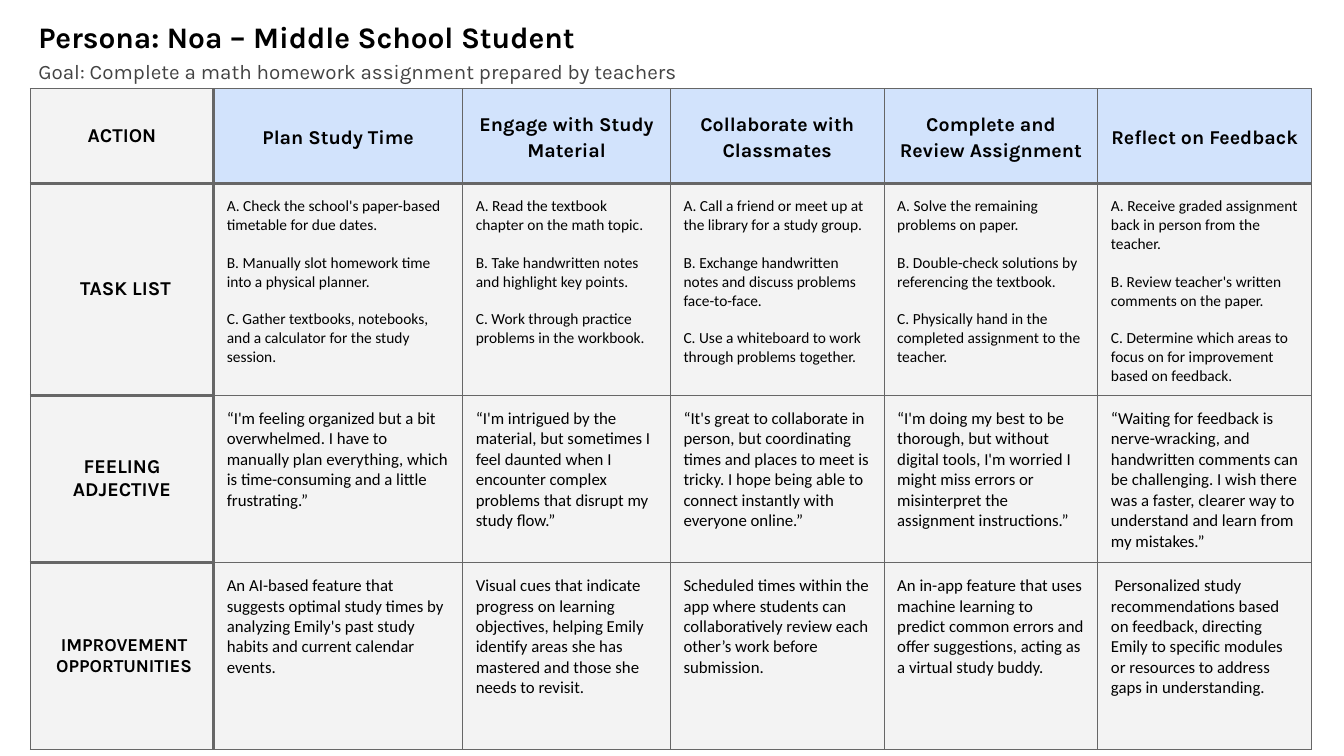
from lxml import etree
from pptx import Presentation
from pptx.dml.color import RGBColor
from pptx.enum import text
from pptx.oxml.ns import qn
from pptx.util import Emu, Inches, Pt

BLACK = RGBColor(0x00, 0x00, 0x00)
GRAY = RGBColor(0x43, 0x43, 0x43)
LINE = RGBColor(0x66, 0x66, 0x66)
PALE = RGBColor(0xF3, 0xF3, 0xF3)
BLUE = RGBColor(0xD2, 0xE3, 0xFC)
HEAD_FONT, BODY_FONT = "Karla", "Calibri"
INSET = Inches(0.13)
COLS = [1.82, 2.47, 2.06, 2.12, 2.12, 2.12]
ROWS = [0.94, 1.87, 1.65, 1.85]
LABEL_SIZES = [14, 14, 14, 13]
BODY_SIZES = [14, 11, 12, 12]
THIN, THICK = 0.75, 2.25

JOURNEY = [
    ["ACTION", "Plan Study Time", "Engage with Study Material",
     "Collaborate with Classmates", "Complete and Review Assignment",
     "Reflect on Feedback"],
    ["TASK LIST",
     "A. Check the school's paper-based timetable for due dates.\n"
     "B. Manually slot homework time into a physical planner.\n"
     "C. Gather textbooks, notebooks, and a calculator for the study session.",
     "A. Read the textbook chapter on the math topic.\n"
     "B. Take handwritten notes and highlight key points.\n"
     "C. Work through practice problems in the workbook.",
     "A. Call a friend or meet up at the library for a study group.\n"
     "B. Exchange handwritten notes and discuss problems face-to-face.\n"
     "C. Use a whiteboard to work through problems together.",
     "A. Solve the remaining problems on paper.\n"
     "B. Double-check solutions by referencing the textbook.\n"
     "C. Physically hand in the completed assignment to the teacher.",
     "A. Receive graded assignment back in person from the teacher.\n"
     "B. Review teacher's written comments on the paper.\n"
     "C. Determine which areas to focus on for improvement based on feedback."],
    ["FEELING ADJECTIVE",
     "“I'm feeling organized but a bit overwhelmed. I have to manually plan "
     "everything, which is time-consuming and a little frustrating.”",
     "“I'm intrigued by the material, but sometimes I feel daunted when I "
     "encounter complex problems that disrupt my study flow.”",
     "“It's great to collaborate in person, but coordinating times and places "
     "to meet is tricky. I hope being able to connect instantly with everyone "
     "online.”",
     "“I'm doing my best to be thorough, but without digital tools, I'm "
     "worried I might miss errors or misinterpret the assignment "
     "instructions.”",
     "“Waiting for feedback is nerve-wracking, and handwritten comments can be "
     "challenging. I wish there was a faster, clearer way to understand and "
     "learn from my mistakes.”"],
    ["IMPROVEMENT\nOPPORTUNITIES",
     "An AI-based feature that suggests optimal study times by analyzing "
     "Emily's past study habits and current calendar events.",
     "Visual cues that indicate progress on learning objectives, helping Emily "
     "identify areas she has mastered and those she needs to revisit.",
     "Scheduled times within the app where students can collaboratively review "
     "each other’s work before submission.",
     "An in-app feature that uses machine learning to predict common errors "
     "and offer suggestions, acting as a virtual study buddy.",
     " Personalized study recommendations based on feedback, directing Emily "
     "to specific modules or resources to address gaps in understanding."],
]


def set_margins(box):
    box.margin_left = box.margin_right = INSET
    box.margin_top = box.margin_bottom = INSET


def style_run(r, font, size, color, bold=False):
    r.font.name = font
    r.font.size = Pt(size)
    r.font.color.rgb = color
    r.font.bold = bold


def add_line(s, box, words, size, color, bold=False):
    tf = s.shapes.add_textbox(*map(Inches, box)).text_frame
    tf.word_wrap = True
    set_margins(tf)
    tf.text = words
    style_run(tf.paragraphs[0].runs[0], HEAD_FONT, size, color, bold)


def add_heading(s, left, top):
    add_line(s, (left, top, 6.86, 0.59),
             "Persona: Noa – Middle School Student", 21.3, BLACK, True)
    add_line(s, (left, top + 0.4, 12.38, 0.39),
             "Goal: Complete a math homework assignment prepared by teachers",
             14.7, GRAY)


def set_borders(cell, row, col):
    heavy = {
        "L": col == 1,
        "R": col == 0,
        "T": row == 1 or (col == 0 and row > 0),
        "B": row == 0 or (col == 0 and row < len(ROWS) - 1),
    }
    tcPr = cell._tc.get_or_add_tcPr()
    for i, (side, thick) in enumerate(heavy.items()):
        ln = etree.Element(qn("a:ln" + side),
                           w=str(Pt(THICK if thick else THIN)))
        fill = etree.SubElement(ln, qn("a:solidFill"))
        etree.SubElement(fill, qn("a:srgbClr"), val=str(LINE))
        tcPr.insert(i, ln)


def fill_cell(cell, row, col):
    head = row == 0 or col == 0
    size = (LABEL_SIZES if col == 0 else BODY_SIZES)[row]
    set_margins(cell)
    cell.text = JOURNEY[row][col]
    cell.vertical_anchor = (text.MSO_ANCHOR.MIDDLE if head
                            else text.MSO_ANCHOR.TOP)
    for i, p in enumerate(cell.text_frame.paragraphs):
        p.alignment = text.PP_ALIGN.CENTER if head else text.PP_ALIGN.LEFT
        if row == 0 and col > 0:
            p.line_spacing = 1.15
        if i and not head:
            p.space_before = Pt(13.4)
        for r in p.runs:
            style_run(r, HEAD_FONT if head else BODY_FONT, size, BLACK, head)
    cell.fill.solid()
    cell.fill.fore_color.rgb = BLUE if row == 0 and col > 0 else PALE
    set_borders(cell, row, col)


def add_journey_table(s, left, top):
    frame = s.shapes.add_table(len(ROWS), len(COLS), Inches(left), Inches(top),
                               Inches(sum(COLS)), Inches(sum(ROWS)))
    table = frame.table
    table.first_row = table.horz_banding = False
    for column, width in zip(table.columns, COLS):
        column.width = Inches(width)
    for row, height in zip(table.rows, ROWS):
        row.height = Inches(height)
    for row in range(len(ROWS)):
        for col in range(len(COLS)):
            fill_cell(table.cell(row, col), row, col)
    pPr = table.cell(1, 0).text_frame.paragraphs[0]._p.get_or_add_pPr()
    pPr.set("marL", str(Inches(0.19)))
    pPr.set("indent", str(Emu(-Inches(0.12))))
    table.cell(3, 0).margin_left = Inches(0.17)


def main():
    prs = Presentation()
    prs.slide_width, prs.slide_height = Inches(13.33), Inches(7.5)
    s = prs.slides.add_slide(prs.slide_layouts[6])
    add_heading(s, 0.25, 0.06)
    add_journey_table(s, 0.3, 0.88)
    prs.save("out.pptx")


if __name__ == "__main__":
    main()
